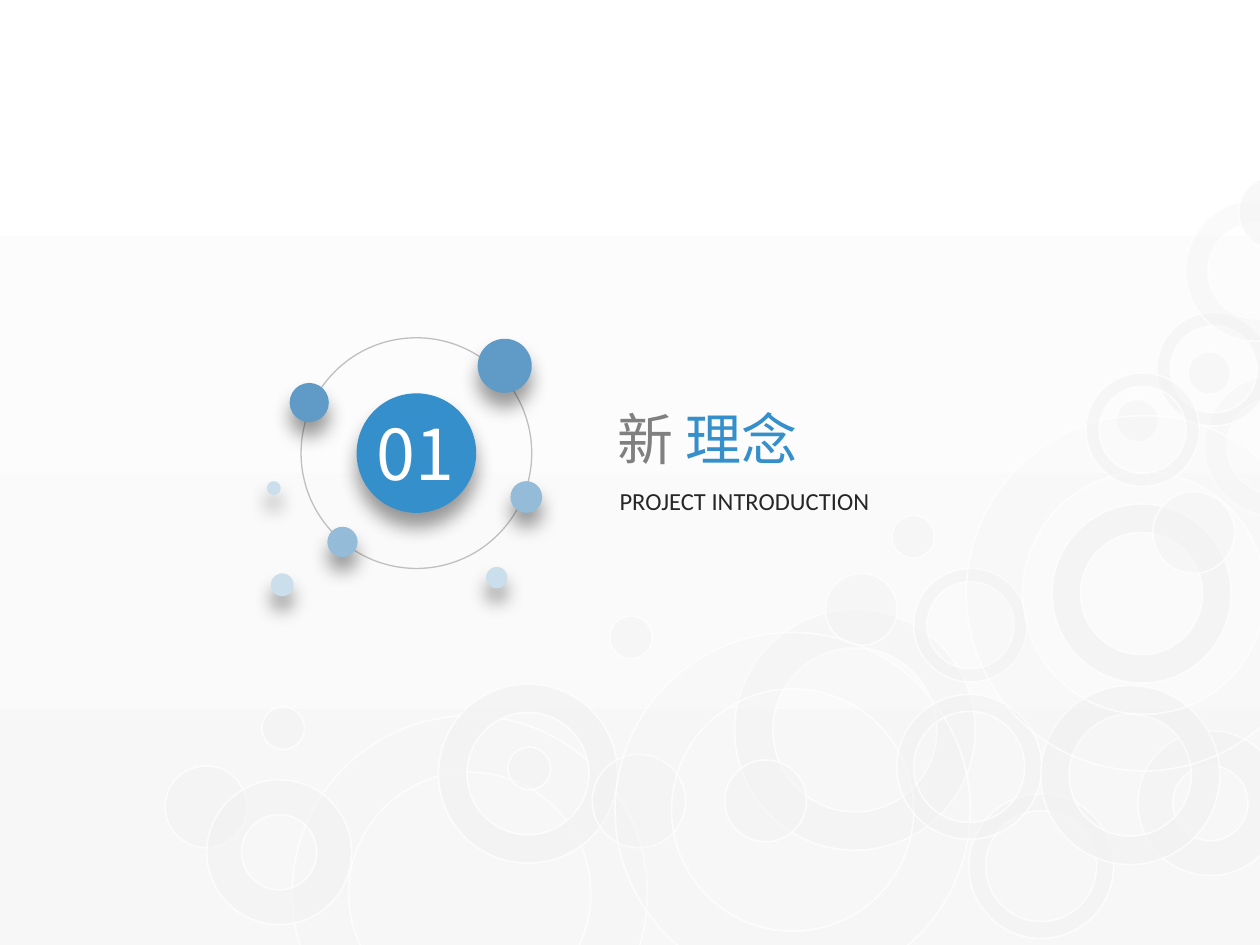
from dataclasses import dataclass

from lxml import etree
from pptx import Presentation
from pptx import util as u
from pptx.dml.color import RGBColor
from pptx.enum import shapes, text
from pptx.oxml import ns


@dataclass(frozen=True)
class Theme:
    white: str = "FFFFFF"
    page_end: str = "F7F7F7"
    bubble: str = "F2F2F2"
    orbit: str = "BFBFBF"
    accent: str = "358FCB"
    strong: str = "5F9BC6"
    medium: str = "94BCD9"
    pale: str = "CADEEC"
    muted: str = "808080"
    ink: str = "262626"
    number_size: int = 40
    title_size: int = 32
    subtitle_size: int = 14
    cjk_font: str = "Noto Sans CJK SC"
    title_font: str = "Manrope"
    body_font: str = "Calibri"


THEME = Theme()

# Bubble kinds: diameter in cm, ring thickness (None for a disc), opacity in %
BUBBLE_KINDS = {
    "halo": (7.16, 0.159, 13),
    "large": (4.85, 0.159, 42),
    "bold": (3.61, 0.159, 75),
    "faint": (2.84, 0.159, 31),
    "thick": (2.92, 0.24, 54),
    "thin": (2.92, 0.117, 54),
    "slim": (2.29, 0.117, 54),
    "disc": (1.88, None, 39),
    "dot": (1.65, None, 47),
    "spot": (1.45, None, 47),
    "speck": (0.86, None, 47),
}

# Bubbles from back to front: kind, left and top in cm
BUBBLES = [
    ("bold", 21.21, 10.16), ("faint", 24.28, 7.57), ("halo", 5.89, 14.43),
    ("thin", 19.53, 16), ("slim", 23.32, 6.3), ("dot", 23.24, 9.91),
    ("speck", 22.5, 8.05), ("large", 14.81, 12.29), ("bold", 8.84, 13.79),
    ("disc", 11.94, 15.21), ("spot", 16.64, 11.56), ("halo", 12.4, 12.75),
    ("thin", 18.08, 14), ("slim", 18.42, 11.46), ("thick", 22.94, 14.73),
    ("speck", 12.29, 12.42), ("dot", 3.33, 15.44), ("speck", 10.24, 15.06),
    ("speck", 17.98, 10.39), ("bold", 20.98, 13.82), ("faint", 23.9, 4.04),
    ("spot", 24.97, 3.56), ("halo", 19.48, 8.38), ("slim", 21.89, 7.52),
    ("thick", 4.17, 15.72), ("speck", 23.95, 7.09), ("dot", 14.61, 15.32),
    ("speck", 5.28, 14.25),
]

# Satellites of the badge: left, top, diameter in cm, colour
SATELLITES = [
    (4.25, 0.02, 1.09, THEME.strong), (0.46, 0.91, 0.79, THEME.strong),
    (0.08, 4.75, 0.46, THEME.pale), (1.22, 3.81, 0.61, THEME.medium),
    (4.91, 2.89, 0.64, THEME.medium), (4.42, 4.62, 0.43, THEME.pale),
    (0, 2.89, 0.28, THEME.pale),
]


def rgb(colour):
    return RGBColor.from_string(colour)


def set_opacity(fill, percent):
    colour = fill._xPr.find(ns.qn("a:solidFill"))[0]
    etree.SubElement(colour, ns.qn("a:alpha"), val=str(percent * 1000))


def add_circle(slide, left, top, diameter, fill=None, kind=shapes.MSO_SHAPE.OVAL):
    circle = slide.shapes.add_shape(
        kind, u.Cm(left), u.Cm(top), u.Cm(diameter), u.Cm(diameter))
    circle.shadow.inherit = False
    circle.line.fill.background()
    if fill:
        circle.fill.solid()
        circle.fill.fore_color.rgb = rgb(fill)
    else:
        circle.fill.background()
    return circle


def outline(circle, colour, width):
    circle.line.color.rgb = rgb(colour)
    circle.line.width = u.Pt(width)


def drop_shadow(circle):
    effects = circle._element.spPr.find(ns.qn("a:effectLst"))
    shadow = etree.SubElement(
        effects, ns.qn("a:outerShdw"), blurRad=str(u.Pt(11)), dist=str(u.Pt(8)),
        dir="5400000", algn="t", rotWithShape="0")
    black = etree.SubElement(shadow, ns.qn("a:srgbClr"), val="000000")
    etree.SubElement(black, ns.qn("a:alpha"), val="40000")


def style_run(run, size, font, colour):
    run.font.size = u.Pt(size)
    run.font.name = font
    run.font.color.rgb = rgb(colour)
    run.font._element.find(ns.qn("a:latin")).addnext(
        etree.Element(ns.qn("a:ea"), typeface=THEME.cjk_font))


def add_label(slide, left, top, width, height, wording, size, font, colour):
    label = slide.shapes.add_textbox(u.Cm(left), u.Cm(top), u.Cm(width), u.Cm(height))
    label.text_frame.word_wrap = True
    label.text_frame.text = wording
    line = label.text_frame.paragraphs[0]
    style_run(line.runs[0], size, font, colour)
    return line


def paint_background(slide):
    fill = slide.background.fill
    fill.gradient()
    fill.gradient_angle = 270
    for stop, colour in zip(fill.gradient_stops, (THEME.white, THEME.page_end)):
        stop.color.rgb = rgb(colour)


def add_bubbles(slide, left, top):
    for kind, x, y in BUBBLES:
        diameter, thickness, opacity = BUBBLE_KINDS[kind]
        preset = shapes.MSO_SHAPE.DONUT if thickness else shapes.MSO_SHAPE.OVAL
        bubble = add_circle(slide, left + x, top + y, diameter, THEME.bubble, preset)
        if thickness:
            bubble.adjustments[0] = thickness
        outline(bubble, THEME.white, 1)
        set_opacity(bubble.fill, opacity)
        set_opacity(bubble.line.fill, 70)


def add_badge(slide, left, top, number):
    # Orbit with the core at its centre
    orbit_size, core_size, orbit_left = 4.65, 2.41, left + 0.69
    inset = (orbit_size - core_size) / 2
    outline(add_circle(slide, orbit_left, top, orbit_size), THEME.orbit, 0.75)
    drop_shadow(add_circle(slide, orbit_left + inset, top + inset, core_size, THEME.accent))

    # Section number
    line = add_label(slide, left + 1.96, top + 1.34, 2.08, 1.96, number,
                     THEME.number_size, THEME.cjk_font, THEME.white)
    line.alignment = text.PP_ALIGN.CENTER

    # Satellites
    for x, y, diameter, colour in SATELLITES:
        drop_shadow(add_circle(slide, left + x, top + y, diameter, colour))


def add_heading(slide, left, top, title_parts, subtitle):
    # Two-colour title
    title = slide.shapes.title
    title.left, title.top = u.Cm(left), u.Cm(top)
    title.width, title.height = u.Cm(4.22), u.Cm(1.63)
    frame = title.text_frame
    frame.word_wrap = False
    frame.auto_size = text.MSO_AUTO_SIZE.SHAPE_TO_FIT_TEXT
    frame.vertical_anchor = text.MSO_ANCHOR.TOP
    line = frame.paragraphs[0]
    line.alignment = text.PP_ALIGN.LEFT
    for wording, font, colour in title_parts:
        run = line.add_run()
        run.text = wording
        style_run(run, THEME.title_size, font, colour)

    # Subtitle
    line = add_label(slide, left + 0.05, top + 1.35, 6.93, 1.07, subtitle,
                     THEME.subtitle_size, THEME.body_font, THEME.ink)
    line.line_spacing = 1.5


def main():
    deck = Presentation()
    deck.slide_width, deck.slide_height = u.Cm(25.4), u.Cm(19.05)
    slide = deck.slides.add_slide(deck.slide_layouts.get_by_name("Title Only"))
    paint_background(slide)
    add_bubbles(slide, 0, 0)
    add_badge(slide, 5.38, 6.81, "01")
    add_heading(slide, 12.19, 8.03,
                [("新 ", THEME.title_font, THEME.muted),
                 ("理念", THEME.cjk_font, THEME.accent)],
                "PROJECT INTRODUCTION")
    deck.save("out.pptx")


if __name__ == "__main__":
    main()
